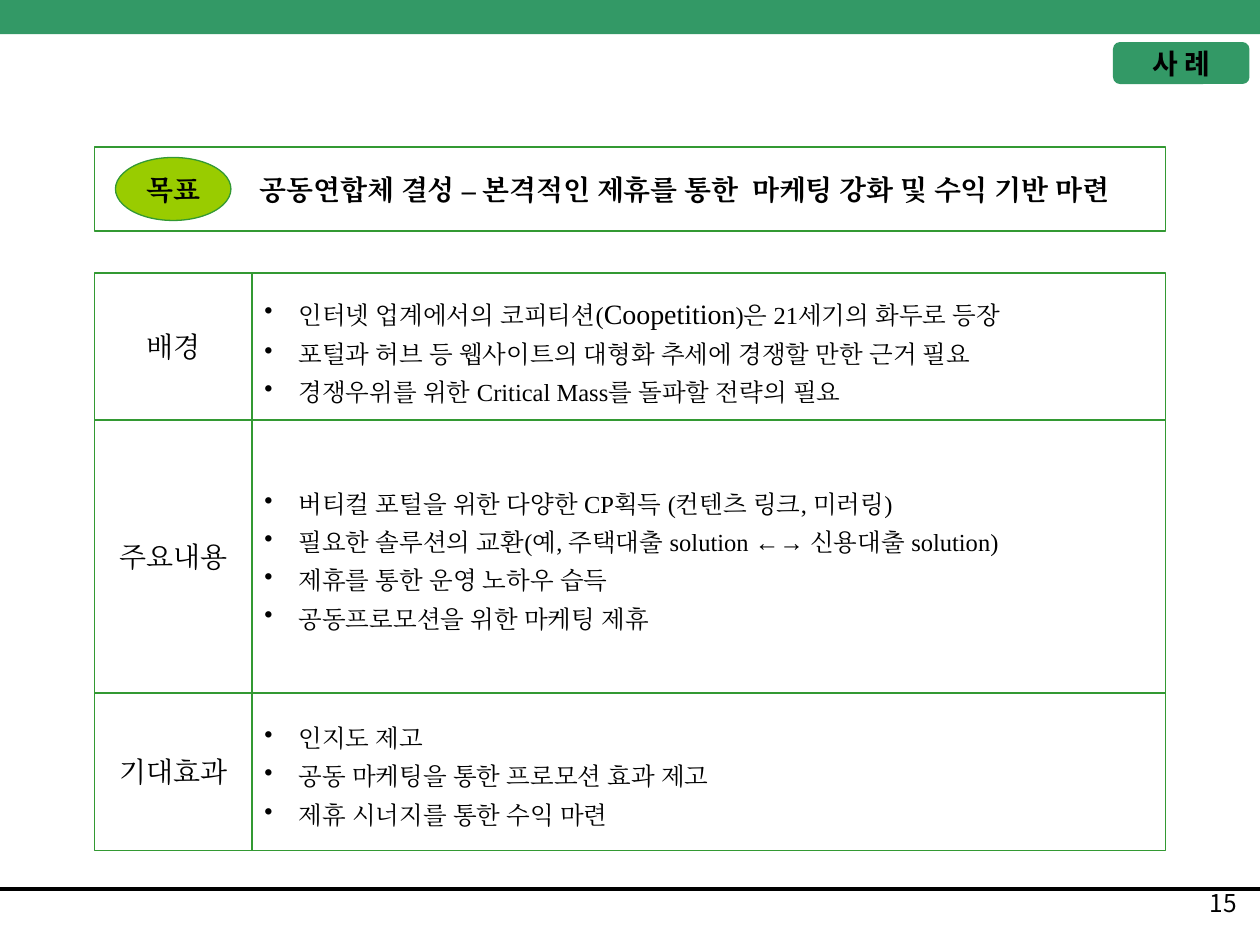
from dataclasses import dataclass

from pptx import Presentation
from pptx.dml.color import RGBColor
from pptx.enum.shapes import MSO_CONNECTOR as Connector, MSO_SHAPE as Preset
from pptx.enum.text import MSO_ANCHOR as Anchor, PP_ALIGN as Align
from pptx.oxml.ns import qn
from pptx.util import Pt

SERIF = "Times New Roman"
SANS = "Noto Sans CJK KR"
BLACK = "000000"
WHITE = "FFFFFF"
BAND_GREEN = "339966"
BORDER_GREEN = "339933"
LIME = "99CC00"

TABLE_LEFT, LABEL_WIDTH, TABLE_WIDTH = 54, 90, 612
TABLE_TOP = 156
BULLET_INDENT = 19.5


@dataclass
class Area:
    left: float
    top: float
    width: float
    height: float


@dataclass
class Section:
    label: str
    height: float
    points: list[str]


SECTIONS = [
    Section("배경", 84, [
        "인터넷 업계에서의 코피티션(Coopetition)은 21세기의 화두로 등장",
        "포털과 허브 등 웹사이트의 대형화 추세에 경쟁할 만한 근거 필요",
        "경쟁우위를 위한 Critical Mass를 돌파할 전략의 필요",
    ]),
    Section("주요내용", 156, [
        "버티컬 포털을 위한 다양한 CP획득 (컨텐츠 링크, 미러링)",
        "필요한 솔루션의 교환(예, 주택대출 solution ←→ 신용대출 solution)",
        "제휴를 통한 운영 노하우 습득",
        "공동프로모션을 위한 마케팅 제휴",
    ]),
    Section("기대효과", 90, [
        "인지도 제고",
        "공동 마케팅을 통한 프로모션 효과 제고",
        "제휴 시너지를 통한 수익 마련",
    ]),
]


def color(value: str) -> RGBColor:
    return RGBColor.from_string(value)


def lengths(area: Area) -> list:
    return [Pt(value) for value in (area.left, area.top, area.width, area.height)]


def add_panel(page, preset, area: Area, fill=None, border=None):
    box = page.shapes.add_shape(preset, *lengths(area))
    box.shadow.inherit = False
    if fill:
        box.fill.solid()
        box.fill.fore_color.rgb = color(fill)
    else:
        box.fill.background()
    if border:
        box.line.color.rgb = color(border)
        box.line.width = Pt(0.75)
    else:
        box.line.fill.background()
    return box


def format_span(span, size: float, font: str = SERIF, bold: bool = False) -> None:
    span.font.size = Pt(size)
    span.font.name = font
    span.font.bold = bold
    span.font.color.rgb = color(BLACK)
    properties = span.font._element
    east_asian = properties.makeelement(qn("a:ea"), {"typeface": font})
    properties.find(qn("a:latin")).addnext(east_asian)


def write_line(box, text: str, size: float = 16, font: str = SERIF,
               bold: bool = False, align=Align.CENTER, inset: float = 0) -> None:
    frame = box.text_frame
    frame.text = text
    frame.word_wrap = True
    frame.vertical_anchor = Anchor.MIDDLE
    frame.margin_left = Pt(inset)
    frame.margin_right = Pt(0)
    para = frame.paragraphs[0]
    para.alignment = align
    format_span(para.runs[0], size, font, bold)


def add_bullet(para, indent: float) -> None:
    properties = para._p.get_or_add_pPr()
    properties.set("marL", str(Pt(indent)))
    properties.set("indent", str(-Pt(indent)))
    bullet = properties.makeelement(qn("a:buChar"), {"char": "•"})
    properties.append(bullet)
    para.line_spacing = 1.3
    para.alignment = Align.LEFT


def write_points(box, points: list[str]) -> None:
    frame = box.text_frame
    frame.word_wrap = True
    frame.vertical_anchor = Anchor.MIDDLE
    frame.text = "\n".join(points)
    for para in frame.paragraphs:
        add_bullet(para, BULLET_INDENT)
        before, term, after = para.text.partition("Coopetition")
        para.runs[0].text = before
        format_span(para.runs[0], 14)
        for text, size in ((term, 16), (after, 14)):
            if text:
                span = para.add_run()
                span.text = text
                format_span(span, size)


def add_section(page, section: Section, top: float) -> None:
    label_area = Area(TABLE_LEFT, top, LABEL_WIDTH, section.height)
    points_area = Area(TABLE_LEFT + LABEL_WIDTH, top,
                       TABLE_WIDTH - LABEL_WIDTH, section.height)
    label = add_panel(page, Preset.RECTANGLE, label_area, WHITE, BORDER_GREEN)
    write_line(label, section.label)
    body = add_panel(page, Preset.RECTANGLE, points_area, WHITE, BORDER_GREEN)
    write_points(body, section.points)


def add_footer(page) -> None:
    rule = page.shapes.add_connector(
        Connector.STRAIGHT, Pt(0), Pt(508), Pt(720), Pt(508))
    rule.line.color.rgb = color(BLACK)
    rule.line.width = Pt(2.25)
    properties = rule._element.spPr
    properties.append(properties.makeelement(qn("a:effectLst"), {}))
    number = page.shapes.add_textbox(*lengths(Area(564, 504, 150, 36)))
    write_line(number, "15", 14, SANS, align=Align.RIGHT)
    number.text_frame.vertical_anchor = Anchor.TOP
    number.text_frame.margin_right = Pt(7.2)


def add_goal(page) -> None:
    goal = add_panel(page, Preset.RECTANGLE,
                     Area(TABLE_LEFT, 84, TABLE_WIDTH, 48), border=BORDER_GREEN)
    write_line(goal, "공동연합체 결성 – 본격적인 제휴를 통한  마케팅 강화 및 수익 기반 마련",
               bold=True, inset=63)
    badge = add_panel(page, Preset.OVAL, Area(66, 90, 66, 36), LIME, BORDER_GREEN)
    write_line(badge, "목표", bold=True)


def main() -> None:
    deck = Presentation()
    deck.slide_width, deck.slide_height = Pt(720), Pt(540)
    page = deck.slides.add_slide(deck.slide_layouts[6])
    add_footer(page)
    add_panel(page, Preset.RECTANGLE, Area(0, 0, 720, 19.5), BAND_GREEN)
    top = TABLE_TOP
    for section in SECTIONS:
        add_section(page, section, top)
        top += section.height
    add_goal(page)
    tag = add_panel(page, Preset.ROUNDED_RECTANGLE, Area(636, 24, 78, 24), BAND_GREEN)
    write_line(tag, "사 례", font=SANS, bold=True)
    deck.save("out.pptx")


if __name__ == "__main__":
    main()
